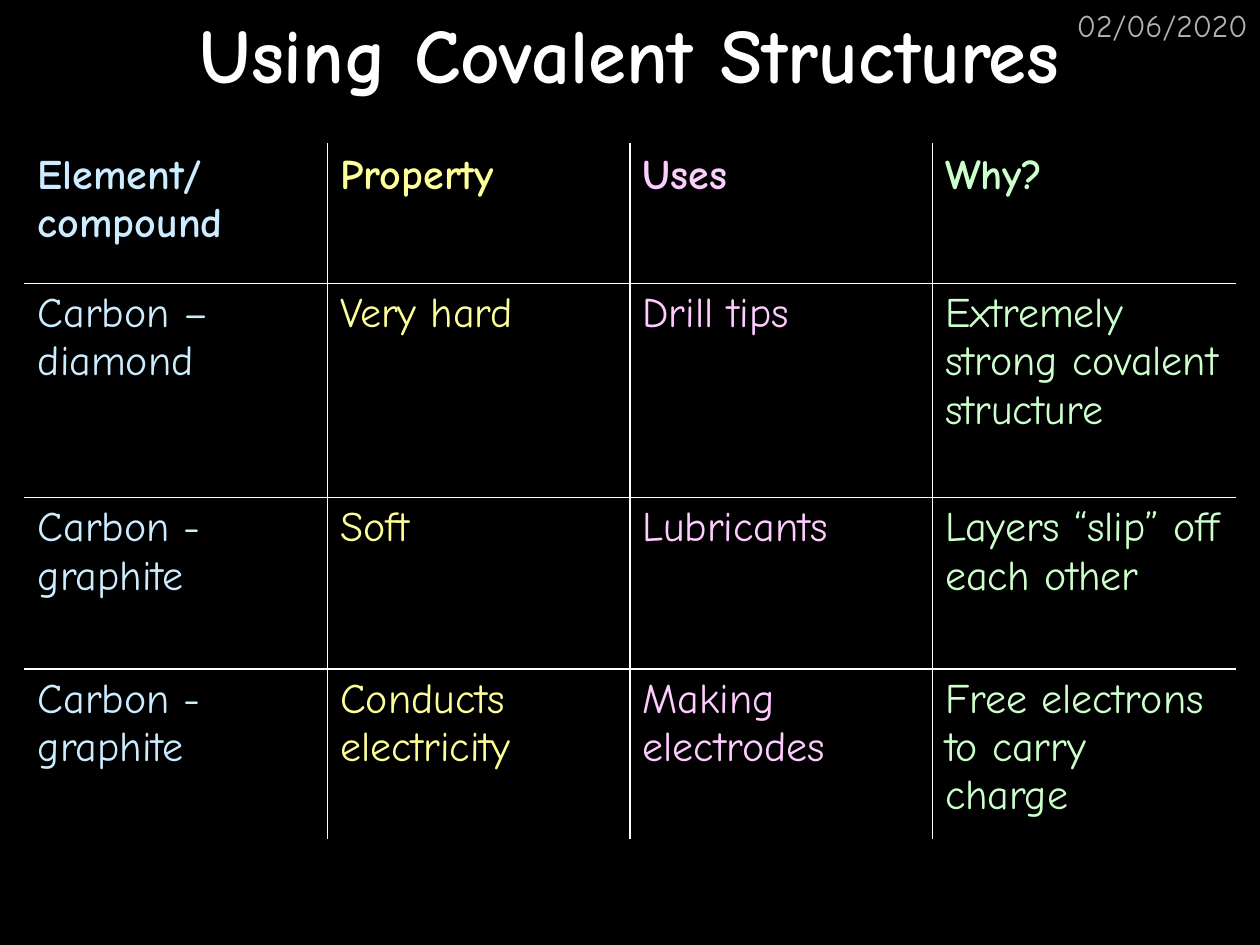
from lxml.etree import SubElement
from pptx import Presentation
from pptx.dml.color import RGBColor
from pptx.enum.text import MSO_ANCHOR, PP_ALIGN
from pptx.oxml.ns import qn
from pptx.util import Inches, Pt

FONT = "Comic Neue"
BACKGROUND = "000000"
WHITE = "FFFFFF"
DATE_GREY = "B2B2B2"
COLUMN_COLORS = ["CCECFF", "FFFF99", "FFCCFF", "CCFFCC"]
COLUMN_WIDTH = 2.4
ROW_HEIGHTS = [1.1, 1.7, 1.36, 1.36]
ROWS = [
    ["Element/ compound", "Property", "Uses", "Why?"],
    ["Carbon – diamond", "Very hard", "Drill tips", "Extremely strong covalent structure"],
    ["Carbon - graphite", "Soft", "Lubricants", "Layers “slip” off each other"],
    ["Carbon - graphite", "Conducts electricity", "Making electrodes", "Free electrons to carry charge"],
]


def rgb(color):
    """Turn a hex string into a colour."""
    return RGBColor.from_string(color)


def add_run(paragraph, text, size, color, bold=False):
    """Add one formatted run to a paragraph."""
    run = paragraph.add_run()
    run.text = text
    run.font.name = FONT
    run.font.size = Pt(size)
    run.font.bold = bold
    run.font.color.rgb = rgb(color)


def add_title(slide, text):
    """Place and fill the title placeholder."""
    title = slide.shapes.title
    title.left, title.top = Inches(0), Inches(0)
    title.width, title.height = Inches(10), Inches(0.83)
    title.text_frame.vertical_anchor = MSO_ANCHOR.MIDDLE
    paragraph = title.text_frame.paragraphs[0]
    paragraph.alignment = PP_ALIGN.CENTER
    add_run(paragraph, text, 44, WHITE, bold=True)


def add_date(slide, text):
    """Add the date in the top right corner."""
    box = slide.shapes.add_textbox(Inches(7.92), Inches(0), Inches(2.08), Inches(0.5))
    box.text_frame.word_wrap = True
    paragraph = box.text_frame.paragraphs[0]
    paragraph.alignment = PP_ALIGN.RIGHT
    add_run(paragraph, text, 18, DATE_GREY)


def set_borders(cell, outer_sides):
    """Draw white inner borders and background-coloured outer ones."""
    properties = cell._tc.get_or_add_tcPr()
    for side in ("L", "R", "T", "B"):
        color, width = (BACKGROUND, 2.25) if side in outer_sides else (WHITE, 1)
        line = SubElement(properties, qn(f"a:ln{side}"), w=str(Pt(width)))
        fill = SubElement(line, qn("a:solidFill"))
        SubElement(fill, qn("a:srgbClr"), val=color)


def add_structure_table(slide):
    """Add the table of structures, their properties and uses."""
    row_count, column_count = len(ROWS), len(COLUMN_COLORS)
    frame = slide.shapes.add_table(
        row_count, column_count, Inches(0.2), Inches(1.15),
        Inches(COLUMN_WIDTH * column_count), Inches(sum(ROW_HEIGHTS)))
    table = frame.table
    table.first_row = False
    table.horz_banding = False
    for column in table.columns:
        column.width = Inches(COLUMN_WIDTH)
    for row_index, (height, texts) in enumerate(zip(ROW_HEIGHTS, ROWS)):
        table.rows[row_index].height = Inches(height)
        for column_index, (text, color) in enumerate(zip(texts, COLUMN_COLORS)):
            cell = table.cell(row_index, column_index)
            edges = {"L": column_index == 0, "R": column_index == column_count - 1,
                     "T": row_index == 0, "B": row_index == row_count - 1}
            set_borders(cell, [side for side, outer in edges.items() if outer])
            cell.fill.background()
            add_run(cell.text_frame.paragraphs[0], text, 24, color, bold=row_index == 0)


def main():
    """Build and save the slide."""
    presentation = Presentation()
    presentation.slide_width, presentation.slide_height = Inches(10), Inches(7.5)
    slide = presentation.slides.add_slide(presentation.slide_layouts[5])
    slide.background.fill.solid()
    slide.background.fill.fore_color.rgb = rgb(BACKGROUND)
    add_date(slide, "02/06/2020")
    add_title(slide, "Using Covalent Structures")
    add_structure_table(slide)
    presentation.save("out.pptx")


if __name__ == "__main__":
    main()
